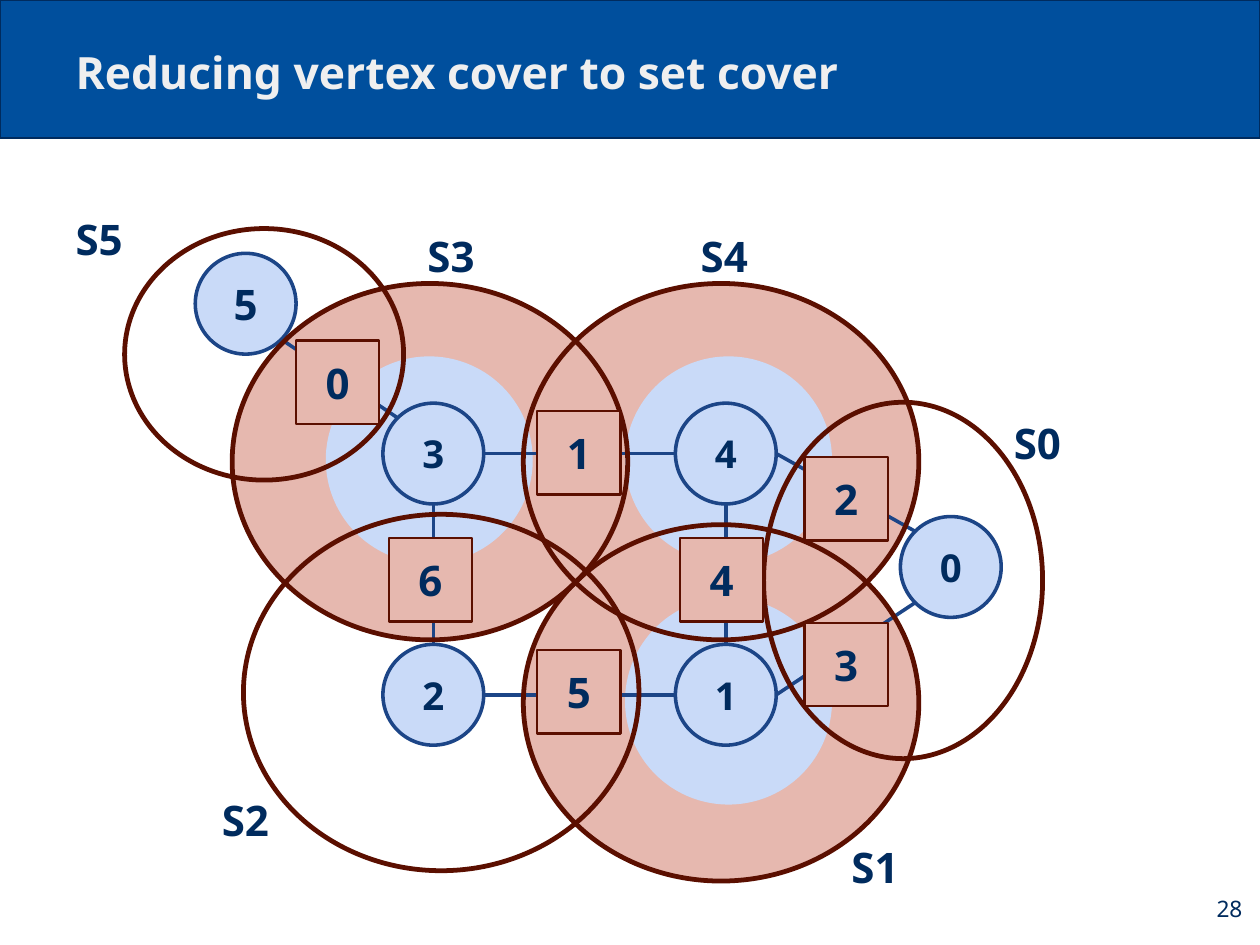
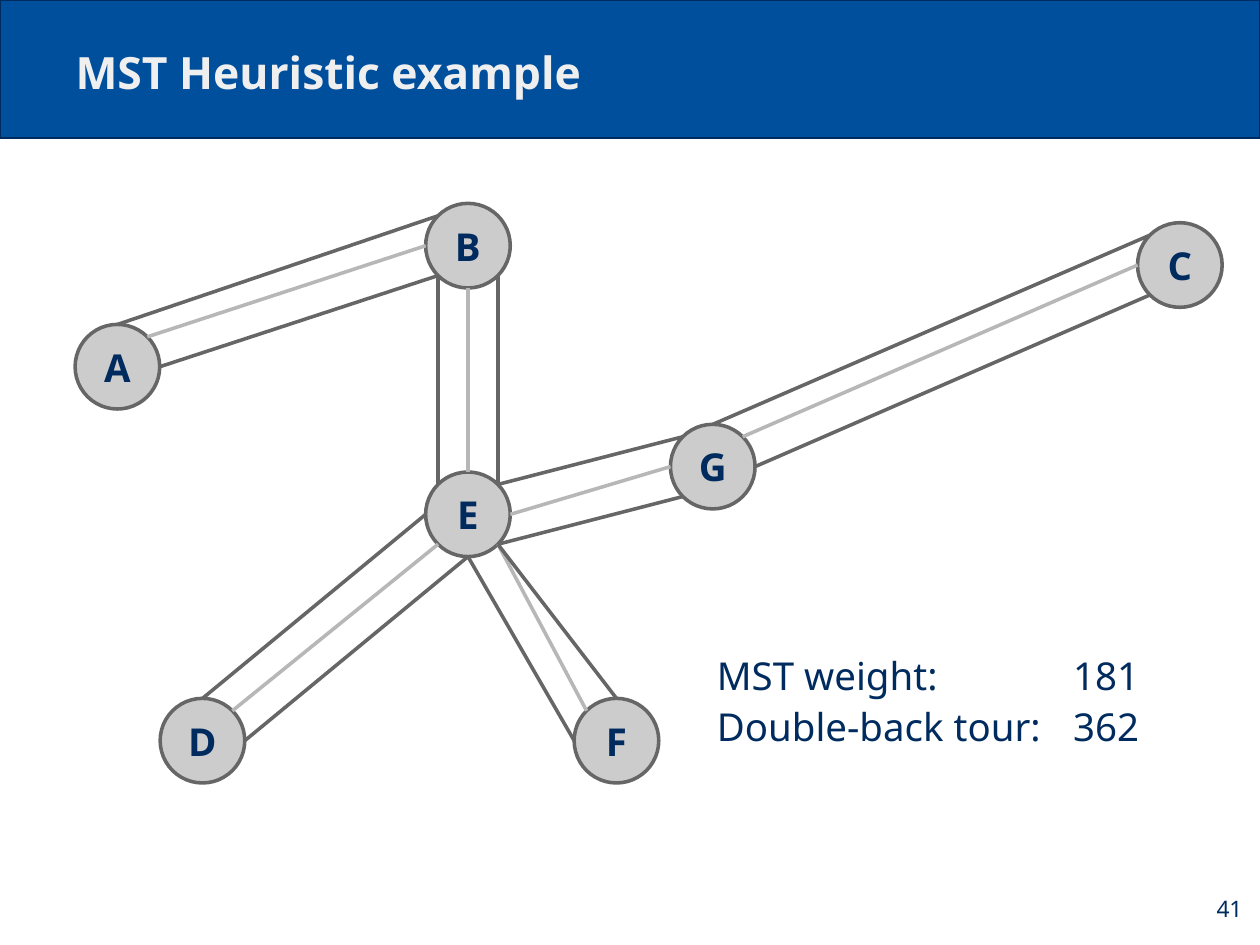
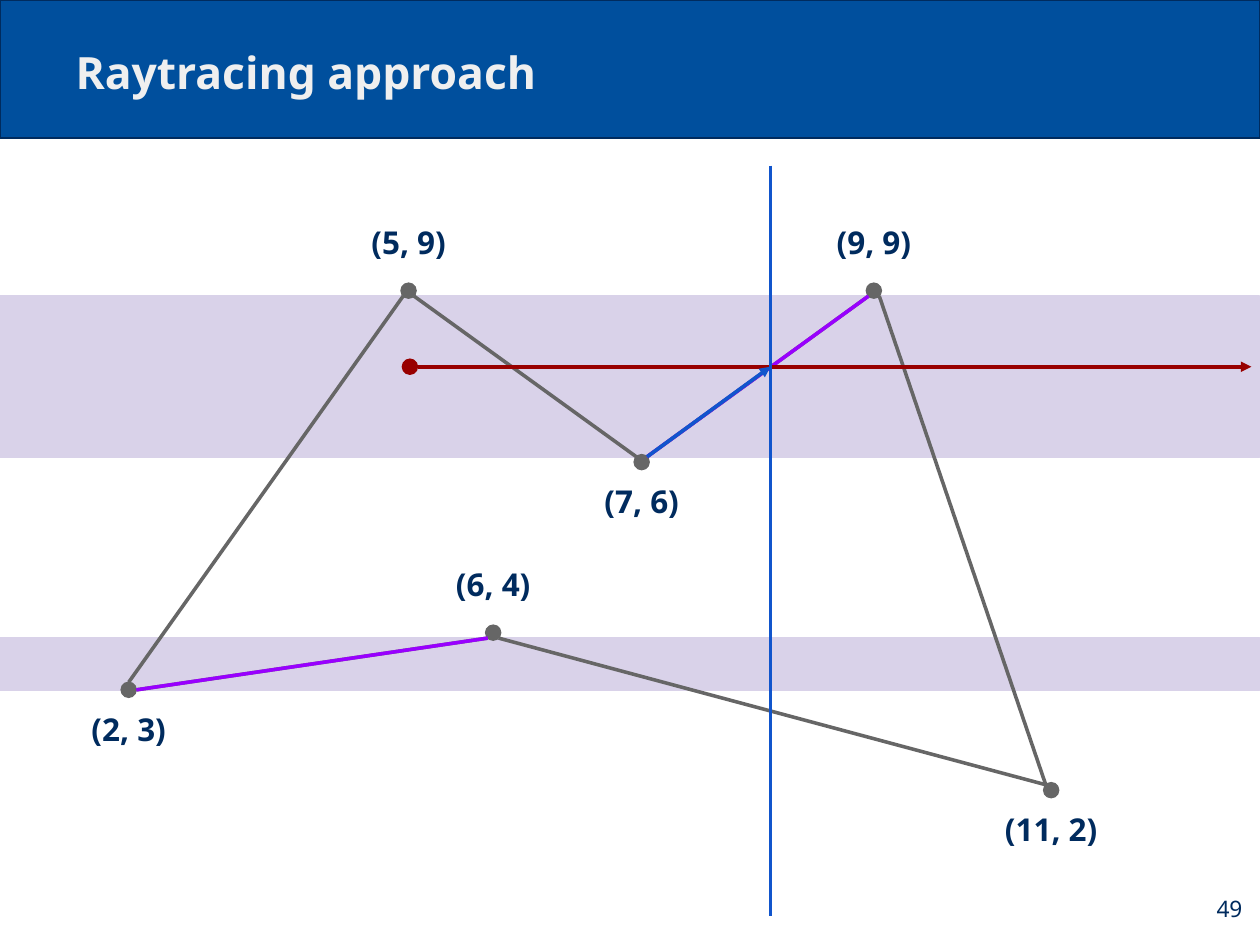
from math import sqrt

from pptx import Presentation
from pptx.dml.color import RGBColor
from pptx.enum import shapes, text
from pptx.oxml import ns
from pptx.util import Cm, Pt
from lxml import etree

COLOURS = {
    "navy": "002B5E", "band": "004F9D", "title": "EFEFEF",
    "rose": "E6B8AF", "maroon": "5B0F00", "sky": "C9DAF8", "node_line": "1C4587",
    "silver": "CCCCCC", "light_grey": "B7B7B7", "grey": "666666",
    "lavender": "D9D2E9", "red": "980000", "purple": "9900FF", "blue": "1155CC",
}
FONT = "Noto Sans"
INSET = Cm(0.28)
OVAL = shapes.MSO_SHAPE.OVAL
RECTANGLE = shapes.MSO_SHAPE.RECTANGLE
LEFT, CENTER, RIGHT = text.PP_ALIGN.LEFT, text.PP_ALIGN.CENTER, text.PP_ALIGN.RIGHT
DIAGONAL = sqrt(0.5)
# Compass points on a unit circle, where lines meet round nodes
SITES = {
    "N": (0, -1), "E": (1, 0), "S": (0, 1), "W": (-1, 0),
    "NE": (DIAGONAL, -DIAGONAL), "SE": (DIAGONAL, DIAGONAL),
    "SW": (-DIAGONAL, DIAGONAL), "NW": (-DIAGONAL, -DIAGONAL),
}


def add_item(slide, kind, box, fill=None, line=None, width=0.75, label="",
             size=24.2, bold=True, align=CENTER, spacing=None):
    """Add a preset shape, or a text box when kind is None; box is in cm."""
    box = [Cm(length) for length in box]
    if kind is None:
        shape = slide.shapes.add_textbox(*box)
    else:
        shape = slide.shapes.add_shape(kind, *box)
        shape.shadow.inherit = False
        for part, colour in ((shape.fill, fill), (shape.line.fill, line)):
            if colour:
                part.solid()
                part.fore_color.rgb = RGBColor.from_string(COLOURS[colour])
            else:
                part.background()
        if line:
            shape.line.width = Pt(width)
    if label:
        frame = shape.text_frame
        frame.text = label
        frame.word_wrap = True
        frame.vertical_anchor = text.MSO_ANCHOR.MIDDLE
        frame.margin_left = frame.margin_right = INSET
        frame.margin_top = frame.margin_bottom = INSET
        paragraph = frame.paragraphs[0]
        paragraph.alignment = align
        paragraph.line_spacing = spacing
        font = paragraph.runs[0].font
        font.name, font.size, font.bold = FONT, Pt(size), bold
        font.color.rgb = RGBColor.from_string(COLOURS["navy"])
    return shape


def add_line(slide, start, end, colour, radius=0, sites=("E", "W"), arrow=False):
    """Draw a line between two centres, cut at the given sites of their circles."""
    ends = [Cm(centre + radius * offset)
            for point, site in zip((start, end), sites)
            for centre, offset in zip(point, SITES[site])]
    connector = slide.shapes.add_connector(shapes.MSO_CONNECTOR.STRAIGHT, *ends)
    connector.line.color.rgb = RGBColor.from_string(COLOURS[colour])
    connector.line.width = Pt(2.25)
    properties = connector._element.spPr
    if arrow:
        outline = properties.find(ns.qn("a:ln"))
        etree.SubElement(outline, ns.qn("a:tailEnd"), type="triangle")
    etree.SubElement(properties, ns.qn("a:effectLst"))


# Presentation, layout and shared parts
presentation = Presentation()
presentation.slide_width, presentation.slide_height = Cm(28), Cm(21)
layout = presentation.slide_layouts[5]
layout_title = layout.placeholders[0]
layout_title.left, layout_title.top = Cm(1.4), Cm(0.61)
layout_title.width, layout_title.height = Cm(25.2), Cm(1.85)

slides = []
for title, number in (("Reducing vertex cover to set cover", "28"),
                      ("MST Heuristic example", "41"),
                      ("Raytracing approach", "49")):
    slide = presentation.slides.add_slide(layout)
    slides.append(slide)
    frame = slide.shapes.title.text_frame
    frame.text = title
    frame.auto_size = text.MSO_AUTO_SIZE.NONE
    frame.vertical_anchor = text.MSO_ANCHOR.BOTTOM
    frame.margin_left = frame.margin_right = INSET
    frame.margin_top = frame.margin_bottom = INSET
    frame.paragraphs[0].alignment = LEFT
    font = frame.paragraphs[0].runs[0].font
    font.name, font.size, font.bold = FONT, Pt(28), True
    font.color.rgb = RGBColor.from_string(COLOURS["title"])
    add_item(slide, None, (26.21, 19.38, 1.68, 1.6), label=number,
             size=14.3, bold=False, align=RIGHT)

# The title band belongs to the layout, behind its placeholders
band = add_item(slides[0], RECTANGLE, (0, 0, 28, 3.07), "band", "navy", 1.5)
band._element.nvSpPr.cNvPr.set("id", "20")
layout.shapes._spTree.insert(2, band._element)

cover_slide, tree_slide, ray_slide = slides

# Slide 1: chosen sets and the halos of their vertices
sets = {  # name: (ellipse box, label corner)
    "S5": ((2.77, 5.08, 6.2, 5.59), (1.4, 4.14)),
    "S4": ((11.63, 6.3, 8.79, 7.92), (15.29, 4.52)),
    "S3": ((5.16, 6.3, 8.79, 7.92), (9.22, 4.52)),
    "S2": ((5.41, 11.43, 8.79, 7.92), (4.65, 17.04)),
    "S1": ((11.63, 11.66, 8.79, 7.92), (18.64, 18.08)),
    "S0": ((16.97, 8.94, 6.2, 7.92), (22.25, 8.66)),
}
for name in ("S1", "S4", "S3"):
    add_item(cover_slide, OVAL, sets[name][0], "rose")
for x, y in ((7.24, 7.92), (13.89, 7.92), (13.89, 13.28)):
    add_item(cover_slide, OVAL, (x, y, 4.6, 4.6), "sky")

# Slide 1: graph
vertices = {"0": (21.13, 12.6), "1": (16.13, 15.44), "4": (16.13, 10.08),
            "3": (9.63, 10.08), "2": (9.63, 15.44), "5": (5.46, 6.75)}
radius = 1.12
for name, (x, y) in vertices.items():
    add_item(cover_slide, OVAL, (x - radius, y - radius, 2 * radius, 2 * radius),
             "sky", "node_line", 2.25, name, 26.5 if name == "5" else 24.2)
for start, start_site, end, end_site in (
        ("0", "NW", "4", "E"), ("0", "SW", "1", "E"), ("4", "W", "3", "E"),
        ("1", "W", "2", "E"), ("4", "S", "1", "N"), ("3", "S", "2", "N"),
        ("5", "SE", "3", "NW")):
    add_line(cover_slide, vertices[start], vertices[end], "node_line", radius,
             (start_site, end_site))

# Slide 1: set outlines with names, then numbered edges
for name, (box, corner) in sets.items():
    add_item(cover_slide, OVAL, box, None, "maroon", 3)
    add_item(cover_slide, None, (*corner, 2.41, 2.34), label=name, size=26.5, align=LEFT)
edge_corners = ((6.58, 7.57), (11.94, 9.14), (17.88, 10.16), (17.88, 13.84),
                (15.11, 11.96), (11.94, 14.45), (8.64, 11.96))
for number, corner in enumerate(edge_corners):
    add_item(cover_slide, RECTANGLE, (*corner, 1.85, 1.85), "rose", "maroon", 1.5,
             str(number), 26.5)

# Slide 2: cities
cities = {"A": (2.61, 8.15), "B": (10.4, 5.46), "C": (26.22, 5.89), "G": (15.84, 10.37),
          "E": (10.4, 11.43), "F": (13.7, 16.46), "D": (4.5, 16.46)}
radius = 0.94
for name, (x, y) in cities.items():
    add_item(tree_slide, OVAL, (x - radius, y - radius, 2 * radius, 2 * radius),
             "silver", "grey", 2.25, name)

# Slide 2: spanning tree and the tour around it
tree = (("A", "NE", "B", "W"), ("B", "S", "E", "N"), ("E", "SW", "D", "NE"),
        ("E", "SE", "F", "NW"), ("E", "E", "G", "W"), ("G", "NE", "C", "W"))
tour = (("A", "N", "B", "NW"), ("B", "SE", "E", "NE"), ("E", "NE", "G", "NW"),
        ("G", "N", "C", "NW"), ("C", "SW", "G", "E"), ("G", "SW", "E", "SE"),
        ("E", "SE", "F", "N"), ("F", "W", "E", "S"), ("E", "S", "D", "E"),
        ("D", "N", "E", "W"), ("E", "NW", "B", "SW"), ("B", "SW", "A", "E"))
for routes, colour in ((tree, "light_grey"), (tour, "grey")):
    for start, start_site, end, end_site in routes:
        add_line(tree_slide, cities[start], cities[end], colour, radius,
                 (start_site, end_site))

# Slide 2: weights
for row, (label, weight) in enumerate((("MST weight:", "181"),
                                       ("Double-back tour:", "362"))):
    top = 14.2 + 1.14 * row
    for left, width, words in ((15.65, 7.92, label), (23.57, 2.62, weight)):
        add_item(tree_slide, None, (left, top, width, 1.6), label=words,
                 bold=False, align=LEFT)

# Slide 3: height ranges of the marked sides
for top, height in ((6.58, 3.58), (14.17, 1.17)):
    add_item(ray_slide, RECTANGLE, (0, top, 28, height), "lavender", "lavender")

# Slide 3: polygon corners, labelled above or below
corners = {"(5, 9)": (9.08, 6.46), "(9, 9)": (19.42, 6.46), "(11, 2)": (23.36, 17.56),
           "(7, 6)": (14.26, 10.27), "(2, 3)": (2.86, 15.33), "(6, 4)": (10.96, 14.06)}
labelled_above = ("(5, 9)", "(9, 9)", "(6, 4)")
radius = 0.17
label_width, label_height = 2.79, 1.6
for name, (x, y) in corners.items():
    add_item(ray_slide, OVAL, (x - radius, y - radius, 2 * radius, 2 * radius),
             "grey", "grey")
    top = y - radius - label_height if name in labelled_above else y + radius
    add_item(ray_slide, None, (x - label_width / 2, top, label_width, label_height),
             label=name, size=19.8, spacing=0.69)

# Slide 3: polygon sides, the marked ones drawn again on top
dip_side = ("(7, 6)", "NE", "(9, 9)", "SW")
low_side = ("(6, 4)", "SW", "(2, 3)", "E")
sides = (("(2, 3)", "N", "(5, 9)", "SW"), ("(5, 9)", "SE", "(7, 6)", "NW"), dip_side,
         ("(9, 9)", "SE", "(11, 2)", "NW"), ("(11, 2)", "NW", "(6, 4)", "SE"), low_side)
for group, colour in ((sides, "grey"), ((dip_side, low_side), "purple")):
    for start, start_site, end, end_site in group:
        add_line(ray_slide, corners[start], corners[end], colour, radius,
                 (start_site, end_site))

# Slide 3: ray, crossing line and the way to the crossing
source, crossing = (9.11, 8.15), (17.12, 8.15)
add_item(ray_slide, OVAL, (source[0] - radius, source[1] - radius, 2 * radius, 2 * radius),
         "red", "red")
add_line(ray_slide, (source[0] + radius, source[1]), (27.81, source[1]), "red", arrow=True)
add_line(ray_slide, (crossing[0], 3.68), (crossing[0], 20.35), "blue")
add_line(ray_slide, (14.38, 10.15), crossing, "blue", arrow=True)

presentation.save("out.pptx")
